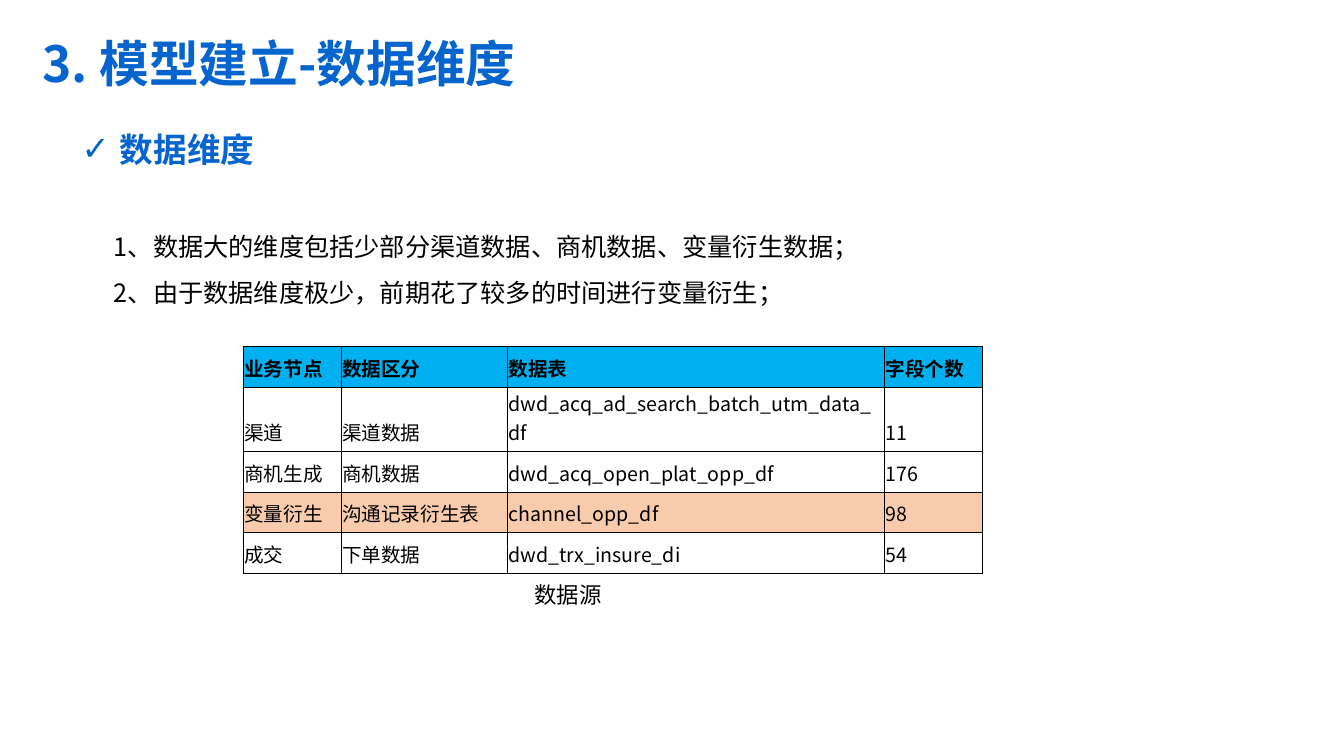
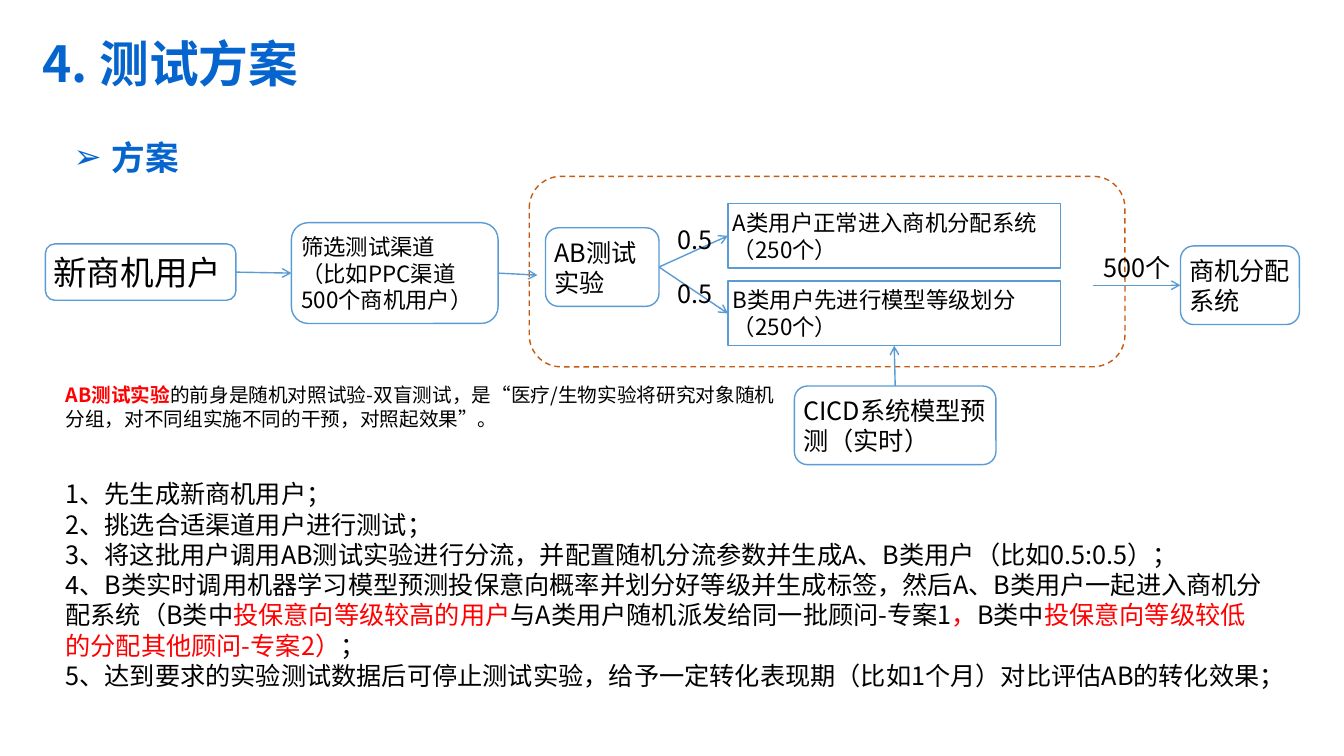
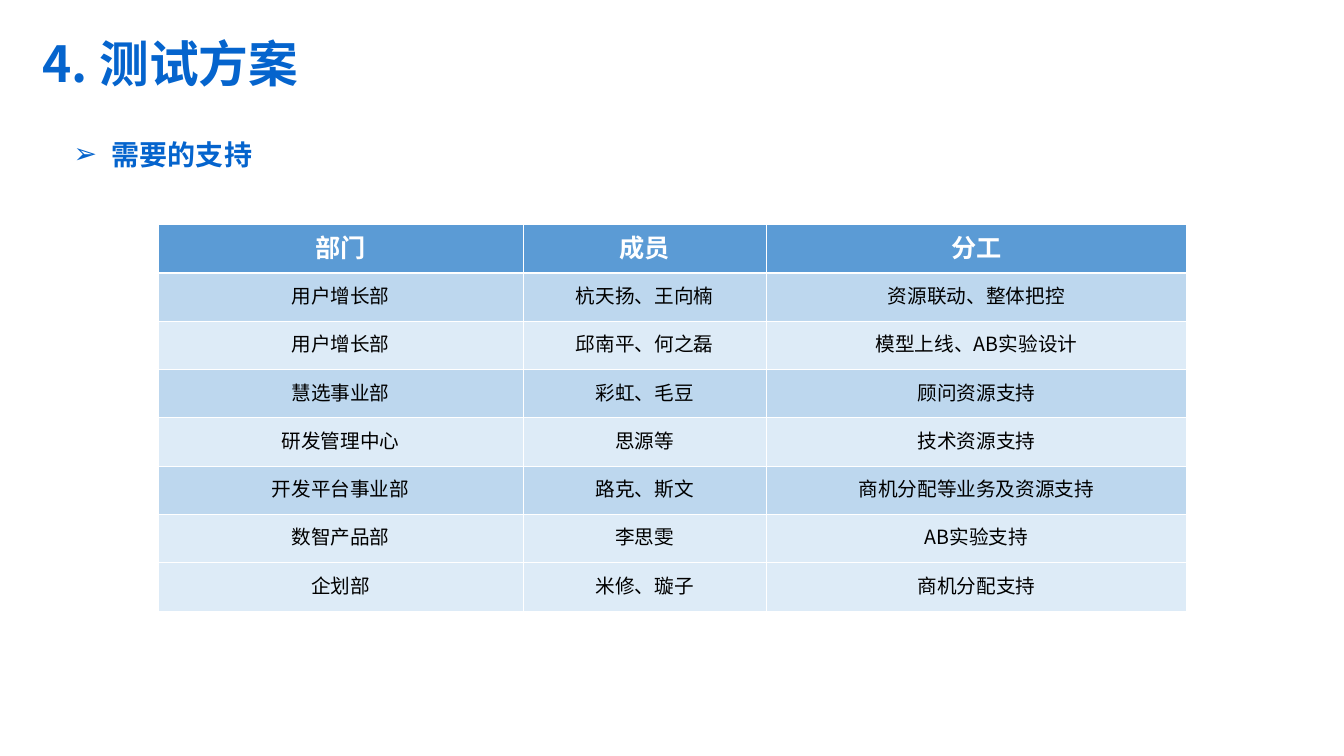
from dataclasses import dataclass

from lxml.etree import SubElement
from pptx import Presentation
from pptx.dml.color import RGBColor
from pptx.enum.dml import MSO_LINE_DASH_STYLE as Dash
from pptx.enum.shapes import MSO_CONNECTOR as Connector, MSO_SHAPE as Preset
from pptx.enum.text import MSO_ANCHOR as Anchor, MSO_AUTO_SIZE as AutoSize, PP_ALIGN as Align
from pptx.oxml.ns import qn
from pptx.util import Inches, Pt

BLUE = RGBColor(0x05, 0x64, 0xCD)
FLOW_BLUE = RGBColor(0x5B, 0x9B, 0xD5)
CYAN = RGBColor(0x00, 0xB0, 0xF0)
PEACH = RGBColor(0xF8, 0xCB, 0xAD)
MID_BLUE = RGBColor(0xBD, 0xD7, 0xEE)
PALE_BLUE = RGBColor(0xDD, 0xEB, 0xF7)
RUST = RGBColor(0xC5, 0x5A, 0x11)
RED = RGBColor(0xFF, 0x00, 0x00)
BLACK = RGBColor(0x00, 0x00, 0x00)
WHITE = RGBColor(0xFF, 0xFF, 0xFF)
FONT = "Noto Sans CJK SC"
TOP, LEFT, BOTTOM, RIGHT = range(4)


@dataclass
class Box:
    """A rectangle whose areas are given in percent of its size."""

    left: int
    top: int
    width: int
    height: int

    def point(self, x, y):
        """Return the place at x and y percent of this box."""
        return int(self.left + self.width * x / 100), int(self.top + self.height * y / 100)

    def area(self, x, y, width, height):
        """Return a smaller box inside this one."""
        return Box(*self.point(x, y), int(self.width * width / 100), int(self.height * height / 100))

    @property
    def bounds(self):
        """Return the four numbers that python-pptx asks for."""
        return self.left, self.top, self.width, self.height


PAGE = Box(0, 0, Inches(13.33), Inches(7.5))


def style_run(run, size, color, bold, font=FONT):
    """Give one run its font, for Latin and Chinese letters."""
    run.font.size = Pt(size)
    run.font.bold = bold
    run.font.color.rgb = color
    run.font.name = font
    SubElement(run.font._element, qn("a:ea"), typeface=FONT)


def write(frame, paragraphs, size, color=BLACK, bold=False, font=FONT, align=Align.LEFT,
          spacing=None, anchor=Anchor.TOP, margins=(0.05, 0.05, 0.05, 0.05)):
    """Fill a frame; a paragraph is a string or a list of (text, colour, bold) runs."""
    frame.word_wrap = True
    frame.auto_size = AutoSize.NONE
    frame.vertical_anchor = anchor
    (frame.margin_left, frame.margin_top,
     frame.margin_right, frame.margin_bottom) = map(Inches, margins)
    for index, content in enumerate(paragraphs):
        paragraph = frame.add_paragraph() if index else frame.paragraphs[0]
        paragraph.alignment = align
        if spacing:
            paragraph.line_spacing = spacing
        runs = [(content, color, bold)] if isinstance(content, str) else content
        for words, run_color, run_bold in runs:
            run = paragraph.add_run()
            run.text = words
            style_run(run, size, run_color, run_bold, font)


def add_text(slide, box, paragraphs, size, **style):
    """Add a wrapping text box."""
    frame = slide.shapes.add_textbox(*box.bounds).text_frame
    write(frame, paragraphs, size, **style)
    return frame


def add_titled_slide(deck, title):
    """Add a title-only slide with the shared title style."""
    slide = deck.slides.add_slide(deck.slide_layouts[5])
    heading = slide.shapes.title
    heading.left, heading.top, heading.width, heading.height = PAGE.area(2.8, 3.87, 87.9, 9.87).bounds
    write(heading.text_frame, [title], 35.5, color=BLUE, bold=True, spacing=0.9, anchor=Anchor.MIDDLE)
    return slide


def add_subheading(slide, box, words, bullet, size=24):
    """Add a blue heading with a hanging bullet."""
    frame = add_text(slide, box, [words], size, color=BLUE, bold=True)
    properties = frame.paragraphs[0]._p.get_or_add_pPr()
    properties.set("marL", str(Inches(0.38)))
    properties.set("indent", str(-Inches(0.38)))
    SubElement(properties, qn("a:buFont"), typeface="Arial")
    SubElement(properties, qn("a:buChar"), char=bullet)


def set_borders(cell, color, top=0.5, bottom=0.5):
    """Draw the four borders of a cell."""
    properties = cell._tc.get_or_add_tcPr()
    for side, width in (("L", 0.5), ("R", 0.5), ("T", top), ("B", bottom)):
        border = SubElement(properties, qn(f"a:ln{side}"), w=str(Pt(width)))
        fill = SubElement(border, qn("a:solidFill"))
        SubElement(fill, qn("a:srgbClr"), val=str(color))


def add_grid(slide, box, rows, column_shares, fills, border, header_rule=0.5):
    """Add a table with one fill per row, and return it unwritten."""
    table = slide.shapes.add_table(len(rows), len(column_shares), *box.bounds).table
    table.first_row = table.horz_banding = False
    for column, share in zip(table.columns, column_shares):
        column.width = int(box.width * share / sum(column_shares))
    for index, (row, fill) in enumerate(zip(table.rows, fills)):
        row.height = box.height // len(rows)
        for cell in row.cells:
            set_borders(cell, border, top=header_rule if index == 1 else 0.5,
                        bottom=header_rule if index == 0 else 0.5)
            cell.fill.solid()
            cell.fill.fore_color.rgb = fill
    return table


def write_cell(cell, words, size, anchor, **style):
    """Write one table cell with narrow margins."""
    write(cell.text_frame, [words], size, **style)
    cell.vertical_anchor = anchor
    cell.margin_left = cell.margin_top = cell.margin_right = Inches(0.01)
    cell.margin_bottom = Inches(0.05)


def add_source_table(slide, box):
    """Add the table of data sources."""
    rows = [
        ("业务节点", "数据区分", "数据表", "字段个数"),
        ("渠道", "渠道数据", "dwd_acq_ad_search_batch_utm_data_df", "11"),
        ("商机生成", "商机数据", "dwd_acq_open_plat_opp_df", "176"),
        ("变量衍生", "沟通记录衍生表", "channel_opp_df", "98"),
        ("成交", "下单数据", "dwd_trx_insure_di", "54"),
    ]
    table = add_grid(slide, box, rows, (0.97, 1.65, 3.74, 0.97),
                     (CYAN, WHITE, WHITE, PEACH, WHITE), BLACK)
    for r, row in enumerate(rows):
        for c, words in enumerate(row):
            write_cell(table.cell(r, c), words, 14, Anchor.BOTTOM, bold=r == 0,
                       font=FONT if r and c > 1 else "Arial")


def add_support_table(slide, box):
    """Add the table of departments, members and duties."""
    rows = [
        ("部门", "成员", "分工"),
        ("用户增长部", "杭天扬、王向楠", "资源联动、整体把控"),
        ("用户增长部", "邱南平、何之磊", "模型上线、AB实验设计"),
        ("慧选事业部", "彩虹、毛豆", "顾问资源支持"),
        ("研发管理中心", "思源等", "技术资源支持"),
        ("开发平台事业部", "路克、斯文", "商机分配等业务及资源支持"),
        ("数智产品部", "李思雯", "AB实验支持"),
        ("企划部", "米修、璇子", "商机分配支持"),
    ]
    fills = [FLOW_BLUE] + [MID_BLUE, PALE_BLUE] * 3 + [PALE_BLUE]
    table = add_grid(slide, box, rows, (3.62, 2.42, 4.17), fills, WHITE, header_rule=1.5)
    for r, row in enumerate(rows):
        for c, words in enumerate(row):
            write_cell(table.cell(r, c), words, 14 if r else 18, Anchor.MIDDLE, bold=r == 0,
                       color=BLACK if r else WHITE, align=Align.CENTER)


def add_node(slide, box, paragraphs=(), size=18, preset=Preset.ROUNDED_RECTANGLE, color=FLOW_BLUE):
    """Add a white outlined step of the flow."""
    node = slide.shapes.add_shape(preset, *box.bounds)
    node.shadow.inherit = False
    node.fill.solid()
    node.fill.fore_color.rgb = WHITE
    node.line.color.rgb = color
    node.line.width = Pt(1)
    write(node.text_frame, paragraphs, size, anchor=Anchor.MIDDLE)
    return node


def add_arrow(slide, start, end):
    """Add an arrow; each end is a point or a (node, side) pair."""
    arrow = slide.shapes.add_connector(Connector.STRAIGHT, 0, 0, 0, 0)
    if isinstance(start[0], int):
        arrow.begin_x, arrow.begin_y = start
    else:
        arrow.begin_connect(*start)
    if isinstance(end[0], int):
        arrow.end_x, arrow.end_y = end
    else:
        arrow.end_connect(*end)
    arrow.line.color.rgb = FLOW_BLUE
    arrow.line.width = Pt(1)
    properties = arrow.element.spPr
    SubElement(properties.find(qn("a:ln")), qn("a:tailEnd"), type="arrow")
    SubElement(properties, qn("a:effectLst"))


def add_test_flow(slide, box):
    """Add the flow from new users through the AB test to distribution."""
    experiment = add_node(slide, box.area(38.55, 0, 47.47, 66.08), color=RUST)
    experiment.line.dash_style = Dash.DASH
    new_users = add_node(slide, box.area(0, 23.43, 15.18, 19.58), ["新商机用户"], 24)
    channels = add_node(slide, box.area(19.6, 16.08, 16.47, 34.97),
                        ["筛选测试渠道", "（比如PPC渠道500个商机用户）"], 16)
    split = add_node(slide, box.area(39.84, 17.83, 9.05, 27.27), ["AB测试实验"])
    group_a, group_b = [
        add_node(slide, box.area(54.38, top, 26.51, 22.38), [words], 16, Preset.RECTANGLE)
        for top, words in ((9.44, "A类用户正常进入商机分配系统（250个）"),
                           (36.36, "B类用户先进行模型等级划分（250个）"))
    ]
    model = add_node(slide, box.area(59.68, 72.73, 16.06, 27.27), ["CICD系统模型预测（实时）"])
    distribution = add_node(slide, box.area(90.44, 24.13, 9.48, 27.27), ["商机分配", "系统"])

    for start, end in (
        ((new_users, RIGHT), (channels, LEFT)),
        ((channels, RIGHT), box.point(39.2, 34.27)),
        ((split, RIGHT), (group_a, LEFT)),
        ((split, RIGHT), (group_b, LEFT)),
        ((model, TOP), (group_b, BOTTOM)),
        (box.point(83.45, 37.76), (distribution, LEFT)),
    ):
        add_arrow(slide, start, end)

    for x, y, width, words in ((49.96, 15.03, 3.86, "0.5"), (49.96, 33.57, 3.86, "0.5"),
                               (83.94, 24.48, 6.51, "500个")):
        add_text(slide, box.area(x, y, width, 13.99), [words], 18)


def add_test_notes(slide, box):
    """Add the explanation of AB tests and the five steps."""
    add_text(slide, box.area(0, 0, 59.4, 16.43), [[
        ("AB测试实验", RED, True),
        ("的前身是随机对照试验-双盲测试，是“医疗/生物实验将研究对象随机分组，"
         "对不同组实施不同的干预，对照起效果”。", BLACK, False),
    ]], 14)
    add_text(slide, box.area(0, 27.38, 100, 72.62), [
        "1、先生成新商机用户；",
        "2、挑选合适渠道用户进行测试；",
        "3、将这批用户调用AB测试实验进行分流，并配置随机分流参数并生成A、B类用户（比如0.5:0.5）；",
        [
            ("4、B类实时调用机器学习模型预测投保意向概率并划分好等级并生成标签，"
             "然后A、B类用户一起进入商机分配系统（B类中", BLACK, False),
            ("投保意向等级较高的用户", RED, False),
            ("与A类用户随机派发给同一批顾问-专案1", BLACK, False),
            ("，", RED, False),
            ("B类中", BLACK, False),
            ("投保意向等级较低的分配其他顾问-专案2）", RED, False),
            ("；", BLACK, False),
        ],
        "5、达到要求的实验测试数据后可停止测试实验，给予一定转化表现期（比如1个月）对比评估AB的转化效果；",
    ], 18)


def build_dimensions(deck):
    """Build the slide on data dimensions."""
    slide = add_titled_slide(deck, "3. 模型建立-数据维度")
    add_subheading(slide, PAGE.area(5.7, 16.4, 18.75, 6.67), "数据维度", "✓")
    add_text(slide, PAGE.area(8.1, 28, 77.8, 13.47), [
        "1、数据大的维度包括少部分渠道数据、商机数据、变量衍生数据；",
        "2、由于数据维度极少，前期花了较多的时间进行变量衍生；",
    ], 18, spacing=1.5)
    add_source_table(slide, PAGE.area(18.1, 45.87, 55, 27.07))
    add_text(slide, PAGE.area(39.4, 76.27, 14.2, 4.93), ["数据源"], 16)


def build_test_plan(deck):
    """Build the slide on the test plan."""
    slide = add_titled_slide(deck, "4. 测试方案")
    add_subheading(slide, PAGE.area(5.1, 17.47, 18.75, 6.67), "方案", "➢")
    add_test_flow(slide, PAGE.area(3.38, 23.33, 93.38, 38.13))
    add_test_notes(slide, PAGE.area(4.5, 50, 90.2, 46.27))


def build_support(deck):
    """Build the slide on the support needed."""
    slide = add_titled_slide(deck, "4. 测试方案")
    add_subheading(slide, PAGE.area(5.1, 17.47, 18.75, 5.73), "需要的支持", "➢", 20)
    add_support_table(slide, PAGE.area(11.78, 29.73, 76.5, 51.07))


def main():
    """Build and save the deck."""
    deck = Presentation()
    deck.slide_width, deck.slide_height = PAGE.width, PAGE.height
    build_dimensions(deck)
    build_test_plan(deck)
    build_support(deck)
    deck.save("out.pptx")


if __name__ == "__main__":
    main()
